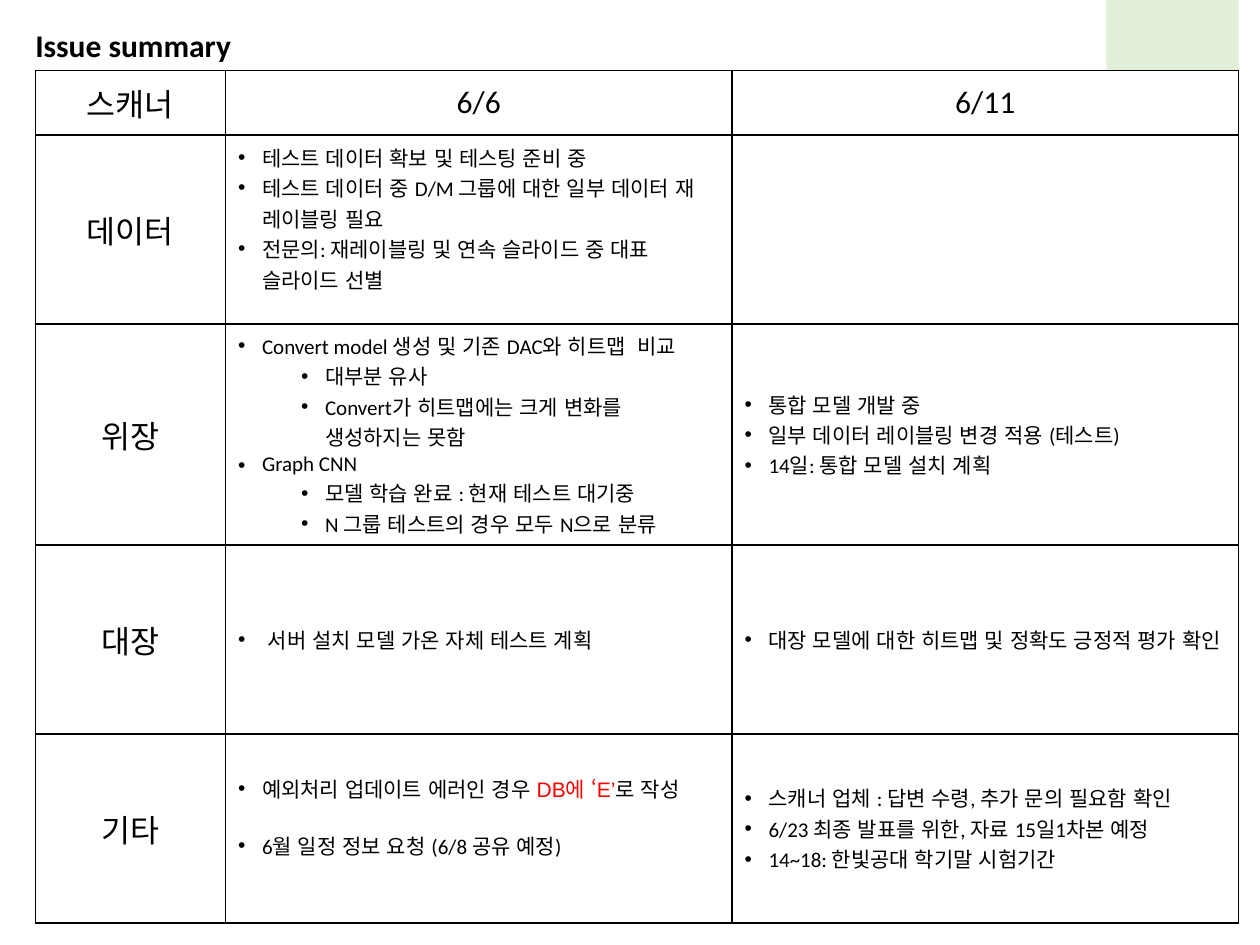
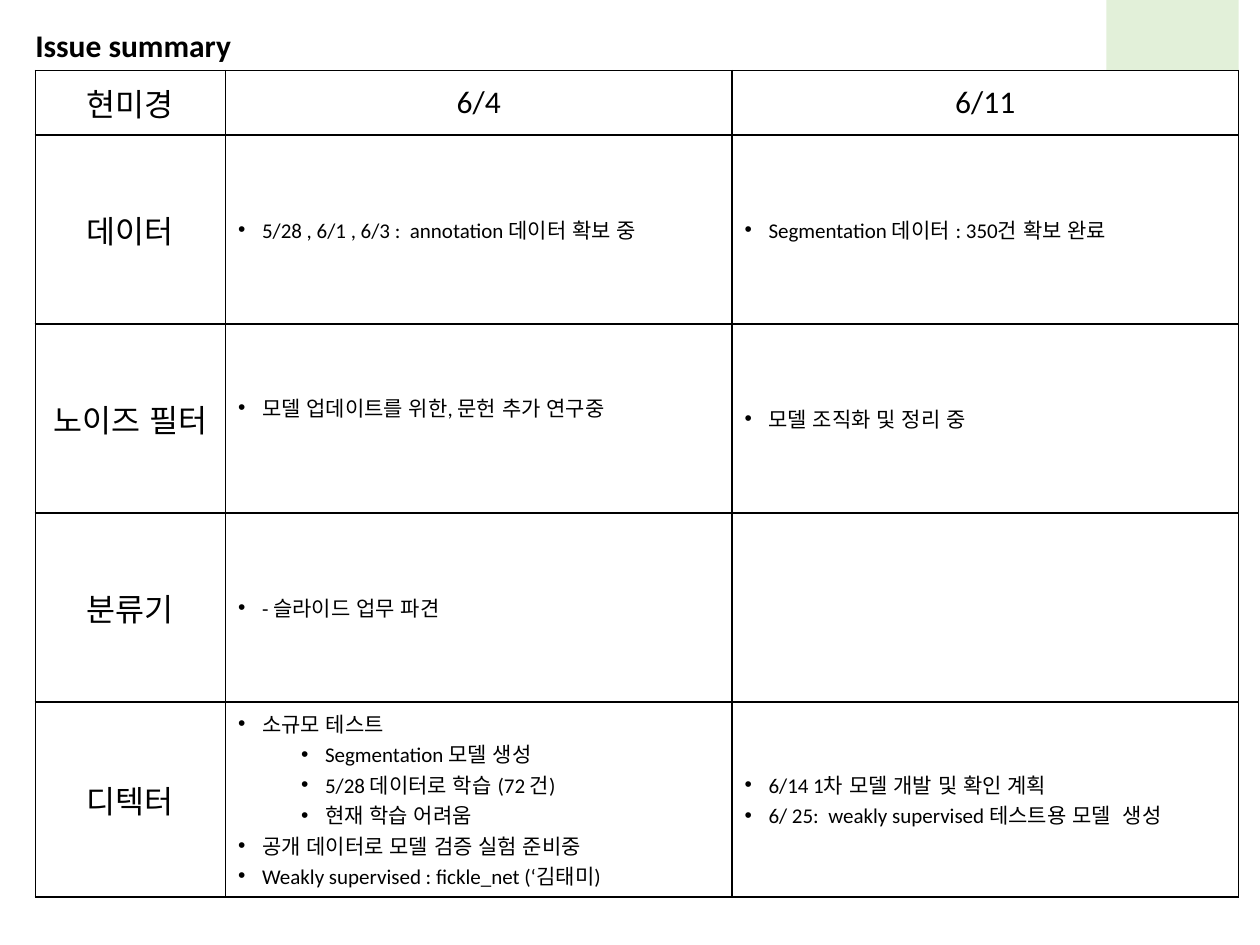
from dataclasses import dataclass

from lxml import etree
from pptx import Presentation
from pptx.dml.color import RGBColor
from pptx.enum.lang import MSO_LANGUAGE_ID
from pptx.enum.shapes import MSO_SHAPE
from pptx.enum.text import MSO_ANCHOR, MSO_AUTO_SIZE, PP_ALIGN
from pptx.oxml.ns import qn
from pptx.util import Inches, Pt

RECTANGLE = MSO_SHAPE.RECTANGLE
MIDDLE = MSO_ANCHOR.MIDDLE
LEFT, CENTER = PP_ALIGN.LEFT, PP_ALIGN.CENTER
KOREAN = MSO_LANGUAGE_ID.KOREAN

COLORS = {"text": "000000", "paper": "FFFFFF", "tab": "E2F0D9", "alert": "FF0000"}
HEADING = {"name": "Calibri", "size": Pt(18), "bold": False, "language_id": KOREAN}
TITLE = {**HEADING, "bold": True}
BODY = {**HEADING, "size": Pt(12)}

TITLE_ONLY = 5
SLIDE_SIZE = (10, 7.5)
TAB_BOX = (8.78, -0.15, 1.05, 1.44)
TITLE_BOX = (0.18, 0.16, 3.13, 0.4)
TABLE_LEFT = 0.28
TABLE_TOPS = (0.56, 2.57)
COLUMNS = (1.51, 4.02, 4.02)
HEADER_ROW, ROW, TALL_ROW = 0.51, 1.5, 1.69
BULLET_INDENT, LEVEL_STEP = 0.19, 0.5
CELL_MARGIN, LIFT = 0.05, 0.18
BORDER = Pt(1)


@dataclass
class Bullet:
    text: str
    level: int = 0
    space_before: int = 0
    font: str = "Calibri"
    alert: str = ""


@dataclass
class Notes:
    bullets: list
    lift: float = 0


def notes(*items, lift=0):
    """Wrap plain strings as bullets; lift raises the text above the middle."""
    return Notes([Bullet(item) if isinstance(item, str) else item for item in items], lift)


def sub(text):
    return Bullet(text, level=1)


def inches(box):
    return [Inches(length) for length in box]


def set_values(target, values):
    for name, value in values.items():
        setattr(target, name, value)


def add_span(para, text, style, color="text"):
    span = para.add_run()
    span.text = text
    set_values(span.font, style)
    span.font.color.rgb = RGBColor.from_string(COLORS[color])


def add_tab(page, box):
    tab = page.shapes.add_shape(RECTANGLE, *inches(box))
    tab.shadow.inherit = False
    tab.fill.solid()
    tab.fill.fore_color.rgb = RGBColor.from_string(COLORS["tab"])
    tab.line.fill.background()


def add_title(page, text, box):
    title = page.shapes.title
    set_values(title, dict(zip(("left", "top", "width", "height"), inches(box))))
    frame = title.text_frame
    set_values(frame, {"word_wrap": True, "auto_size": MSO_AUTO_SIZE.NONE,
                       "vertical_anchor": MIDDLE})
    para = frame.paragraphs[0]
    para.alignment = LEFT
    add_span(para, text, TITLE)


def set_borders(cell):
    properties = cell._tc.get_or_add_tcPr()
    for side in ("lnL", "lnR", "lnT", "lnB"):
        line = etree.SubElement(properties, qn(f"a:{side}"), w=str(BORDER))
        fill = etree.SubElement(line, qn("a:solidFill"))
        etree.SubElement(fill, qn("a:srgbClr"), val=COLORS["text"])


def add_bullet(para, bullet):
    para.level = bullet.level
    para.space_before = Pt(bullet.space_before)
    properties = para._p.get_or_add_pPr()
    properties.set("marL", str(Inches(BULLET_INDENT + LEVEL_STEP * bullet.level)))
    properties.set("indent", str(-Inches(BULLET_INDENT)))
    etree.SubElement(properties, qn("a:buFont"), typeface="Arial")
    etree.SubElement(properties, qn("a:buChar"), char="•")
    style = {**BODY, "name": bullet.font}
    before, alert, after = bullet.text.partition(bullet.alert or "\n")
    for text, color in ((before, "text"), (alert, "alert"), (after, "text")):
        if text:
            add_span(para, text, style, color)


def fill_cell(cell, content):
    cell.vertical_anchor = MIDDLE
    set_borders(cell)
    cell.fill.solid()
    cell.fill.fore_color.rgb = RGBColor.from_string(COLORS["paper"])
    frame = cell.text_frame
    if isinstance(content, str):
        frame.paragraphs[0].alignment = CENTER
        add_span(frame.paragraphs[0], content, HEADING)
        return
    cell.margin_bottom = Inches(CELL_MARGIN + content.lift)
    for index, bullet in enumerate(content.bullets):
        add_bullet(frame.add_paragraph() if index else frame.paragraphs[0], bullet)


def add_issue_table(page, top, heights, rows):
    box = inches((TABLE_LEFT, top, sum(COLUMNS), sum(heights)))
    table = page.shapes.add_table(len(rows), len(COLUMNS), *box).table
    set_values(table, {"first_row": False, "horz_banding": False})
    for column, width in zip(table.columns, COLUMNS):
        column.width = Inches(width)
    for row, height, contents in zip(table.rows, heights, rows):
        row.height = Inches(height)
        for cell, content in zip(row.cells, contents):
            fill_cell(cell, content)


def add_issue_page(deck, rows, first_height):
    """Split the rows into a header table and a detail table below it."""
    page = deck.slides.add_slide(deck.slide_layouts[TITLE_ONLY])
    add_tab(page, TAB_BOX)
    add_title(page, "Issue summary", TITLE_BOX)
    add_issue_table(page, TABLE_TOPS[0], (HEADER_ROW, ROW), rows[:2])
    add_issue_table(page, TABLE_TOPS[1], (first_height, ROW, ROW), rows[2:])


SCANNER = [
    ("스캐너", "6/6", "6/11"),
    ("데이터",
     notes("테스트 데이터 확보 및 테스팅 준비 중",
           "테스트 데이터 중 D/M 그룹에 대한 일부 데이터 재 레이블링 필요",
           "전문의: 재레이블링 및 연속 슬라이드 중 대표 슬라이드 선별", lift=LIFT),
     notes()),
    ("위장",
     notes("Convert model 생성 및 기존 DAC와 히트맵  비교",
           sub("대부분 유사"),
           sub("Convert가 히트맵에는 크게 변화를 생성하지는 못함"),
           "Graph CNN",
           sub("모델 학습 완료 : 현재 테스트 대기중"),
           sub("N 그룹 테스트의 경우 모두 N으로 분류")),
     notes("통합 모델 개발 중",
           "일부 데이터 레이블링 변경 적용 (테스트)",
           "14일: 통합 모델 설치 계획")),
    ("대장",
     notes(" 서버 설치 모델 가온 자체 테스트 계획"),
     notes("대장 모델에 대한 히트맵 및 정확도 긍정적 평가 확인")),
    ("기타",
     notes(Bullet("예외처리 업데이트 에러인 경우 DB에 ‘E’로 작성",
                  font="Arial", alert="DB에 ‘E’"),
           Bullet("6월 일정 정보 요청 (6/8 공유 예정)", space_before=15), lift=LIFT),
     notes("스캐너 업체 : 답변 수령, 추가 문의 필요함 확인",
           "6/23 최종 발표를 위한, 자료 15일1차본 예정",
           "14~18: 한빛공대 학기말 시험기간")),
]

MICROSCOPE = [
    ("현미경", "6/4", "6/11"),
    ("데이터",
     notes("5/28 , 6/1 , 6/3 :  annotation 데이터 확보 중"),
     notes("Segmentation 데이터 : 350건 확보 완료")),
    ("노이즈 필터",
     notes("모델 업데이트를 위한, 문헌 추가 연구중", lift=LIFT),
     notes("모델 조직화 및 정리 중")),
    ("분류기", notes("- 슬라이드 업무 파견"), notes()),
    ("디텍터",
     notes("소규모 테스트",
           sub("Segmentation 모델 생성"),
           sub("5/28 데이터로 학습 (72 건)"),
           sub("현재 학습 어려움"),
           "공개 데이터로 모델 검증 실험 준비중",
           "Weakly supervised : fickle_net (‘김태미)"),
     notes("6/14 1차 모델 개발 및 확인 계획",
           "6/ 25:  weakly supervised 테스트용 모델  생성")),
]


def main():
    deck = Presentation()
    deck.slide_width, deck.slide_height = inches(SLIDE_SIZE)
    add_issue_page(deck, SCANNER, TALL_ROW)
    add_issue_page(deck, MICROSCOPE, ROW)
    deck.save("out.pptx")


if __name__ == "__main__":
    main()
